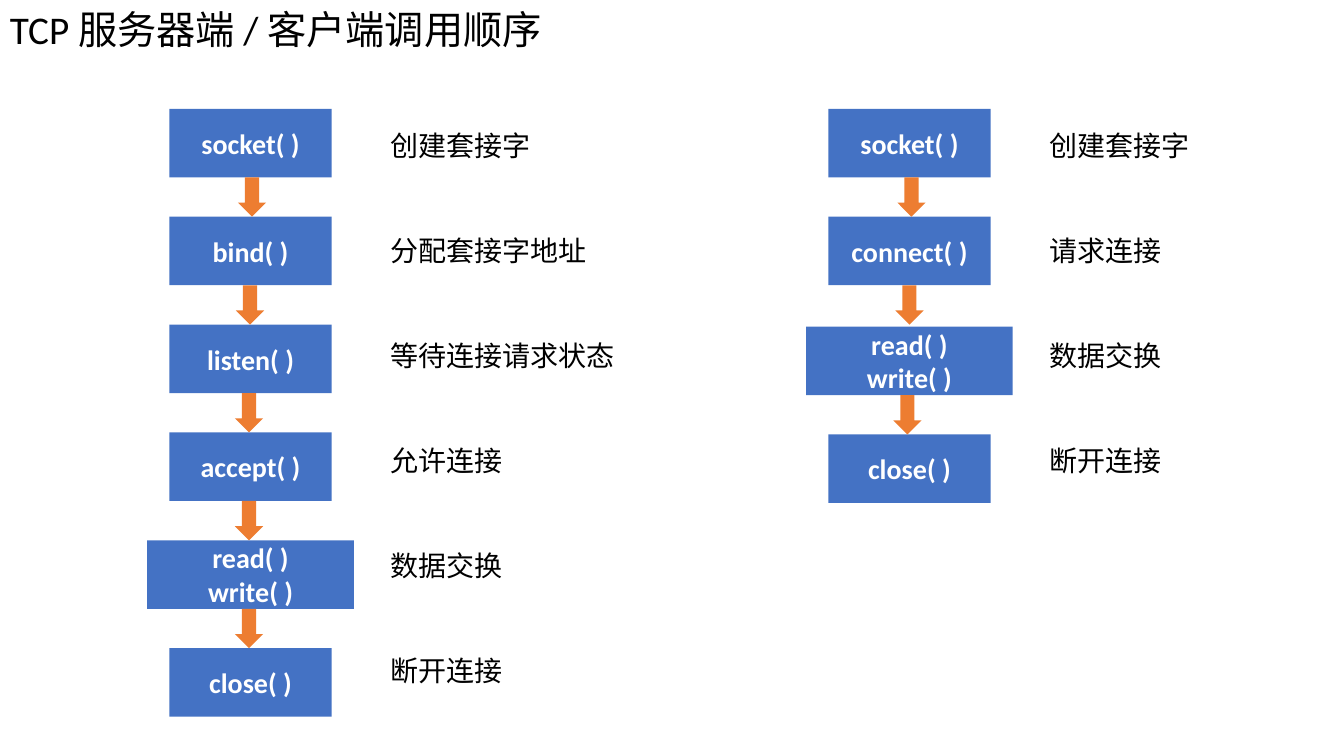
from dataclasses import dataclass

from pptx import Presentation
from pptx.dml.color import RGBColor
from pptx.enum import shapes, text
from pptx.util import Inches, Pt

TITLE = "TCP 服务器端 / 客户端调用顺序"

FLOWS = [
    {
        "center": 2.485,
        "label_left": 3.77,
        "steps": [
            ("socket( )", "创建套接字"),
            ("bind( )", "分配套接字地址"),
            ("listen( )", "等待连接请求状态"),
            ("accept( )", "允许连接"),
            ("read( )\nwrite( )", "数据交换"),
            ("close( )", "断开连接"),
        ],
        "arrow_lefts": [2.36, 2.34, 2.33, 2.33, 2.33],
        "drops": [0, 0, 0, 0, 0, 0],
    },
    {
        "center": 9.02,
        "label_left": 10.31,
        "steps": [
            ("socket( )", "创建套接字"),
            ("connect( )", "请求连接"),
            ("read( )\nwrite( )", "数据交换"),
            ("close( )", "断开连接"),
        ],
        "arrow_lefts": [8.9, 8.88, 8.86],
        "drops": [0, 0, 0.02, 0.02],
    },
]


@dataclass(frozen=True)
class Theme:
    box: RGBColor = RGBColor(0x44, 0x72, 0xC4)
    arrow: RGBColor = RGBColor(0xED, 0x7D, 0x31)
    ink: RGBColor = RGBColor(0, 0, 0)
    box_ink: RGBColor = RGBColor(255, 255, 255)
    font: str = "Calibri"
    title_size: int = 28
    body_size: int = 20


THEME = Theme()
CALL_TOP, CALL_PITCH, CALL_HEIGHT = 1.08, 1.07, 0.68
CALL_WIDTH, EXCHANGE_WIDTH = 1.61, 2.05
ARROW_WIDTH, ARROW_HEIGHT = 0.28, 0.39
LABEL_TOP, LABEL_PITCH, LABEL_HEIGHT = 1.23, 1.04, 0.44
CHARACTER_WIDTH, LABEL_PADDING = 0.28, 0.2


def style_text(frame, words, size, color, bold=False, align=text.PP_ALIGN.LEFT):
    frame.text = words
    for paragraph in frame.paragraphs:
        paragraph.alignment = align
        paragraph.font.name = THEME.font
        paragraph.font.size = Pt(size)
        paragraph.font.bold = bold
        paragraph.font.color.rgb = color


def add_text(slide, area, words, size, wrap):
    frame = slide.shapes.add_textbox(*map(Inches, area)).text_frame
    frame.word_wrap = wrap
    frame.auto_size = text.MSO_AUTO_SIZE.SHAPE_TO_FIT_TEXT
    style_text(frame, words, size, THEME.ink)


def add_solid(slide, kind, area, color):
    solid = slide.shapes.add_shape(kind, *map(Inches, area))
    solid.shadow.inherit = False
    solid.fill.solid()
    solid.fill.fore_color.rgb = color
    solid.line.fill.background()
    return solid


def add_flow(slide, flow):
    call_tops = [CALL_TOP + row * CALL_PITCH + drop for row, drop in enumerate(flow["drops"])]
    for row, (call, meaning) in enumerate(flow["steps"]):
        width = EXCHANGE_WIDTH if "\n" in call else CALL_WIDTH
        area = (flow["center"] - width / 2, call_tops[row], width, CALL_HEIGHT)
        call_box = add_solid(slide, shapes.MSO_SHAPE.RECTANGLE, area, THEME.box)
        call_box.text_frame.vertical_anchor = text.MSO_ANCHOR.MIDDLE
        style_text(call_box.text_frame, call, THEME.body_size, THEME.box_ink,
                   bold=True, align=text.PP_ALIGN.CENTER)
        label_width = LABEL_PADDING + CHARACTER_WIDTH * len(meaning)
        label_area = (flow["label_left"], LABEL_TOP + row * LABEL_PITCH, label_width, LABEL_HEIGHT)
        add_text(slide, label_area, meaning, THEME.body_size, wrap=False)
    for left, top in zip(flow["arrow_lefts"], call_tops):
        area = (left, top + CALL_HEIGHT, ARROW_WIDTH, ARROW_HEIGHT)
        add_solid(slide, shapes.MSO_SHAPE.DOWN_ARROW, area, THEME.arrow)


def main():
    deck = Presentation()
    deck.slide_width, deck.slide_height = Inches(13.33), Inches(7.5)
    slide = deck.slides.add_slide(deck.slide_layouts[6])
    add_text(slide, (0, 0, 5.66, 0.57), TITLE, THEME.title_size, wrap=True)
    for flow in FLOWS:
        add_flow(slide, flow)
    deck.save("out.pptx")


if __name__ == "__main__":
    main()
